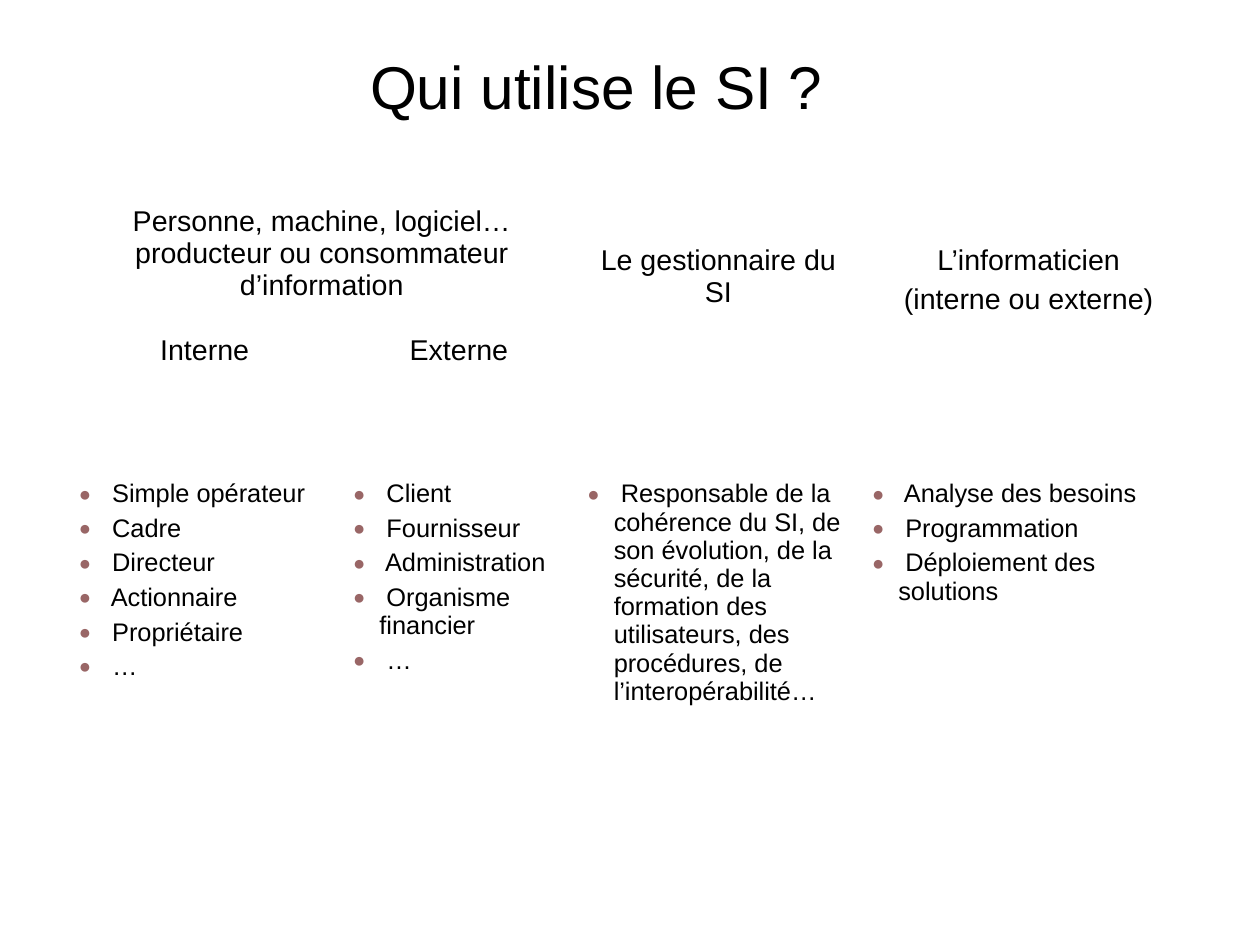
import pptx
import pptx.util
import pptx.dml.color
import pptx.enum.text
import pptx.oxml
import pptx.oxml.ns

Inches = pptx.util.Inches
Pt = pptx.util.Pt
ALIGN = pptx.enum.text.PP_ALIGN
ANCHOR = pptx.enum.text.MSO_ANCHOR
COLORS = {"text": "000000", "bullet": "996666"}
BULLET_INDENT = Inches(0.23)
CM_PER_INCH = 2.54


def write_text(frame, lines, size=18, align=ALIGN.CENTER, before=4.5, bullet=False):
    frame.word_wrap = True
    for index, line in enumerate(lines):
        paragraph = frame.paragraphs[0] if index == 0 else frame.add_paragraph()
        paragraph.alignment = align
        paragraph.space_before = Pt(before)
        run = paragraph.add_run()
        run.text = line
        run.font.size = Pt(size)
        run.font.name = "Arial"
        run.font.color.rgb = pptx.dml.color.RGBColor.from_string(COLORS["text"])
        if bullet:
            properties = paragraph._p.get_or_add_pPr()
            properties.set("marL", str(BULLET_INDENT))
            properties.set("indent", str(-BULLET_INDENT))
            namespace = pptx.oxml.ns.nsdecls("a")
            for element in (
                f'<a:buClr {namespace}><a:srgbClr val="{COLORS["bullet"]}"/></a:buClr>',
                f'<a:buSzPct {namespace} val="80000"/>',
                f'<a:buFont {namespace} typeface="Arial"/>',
                f'<a:buChar {namespace} char="●"/>',
            ):
                properties.append(pptx.oxml.parse_xml(element))


presentation = pptx.Presentation()
presentation.slide_width = Inches(28 / CM_PER_INCH)
presentation.slide_height = Inches(21 / CM_PER_INCH)
slide = presentation.slides.add_slide(presentation.slide_layouts[6])

title = slide.shapes.add_textbox(Inches(0.21), Inches(0.25), Inches(10.02), Inches(1))
title.text_frame.vertical_anchor = ANCHOR.MIDDLE
write_text(title.text_frame, ["Qui utilise le SI ?"], size=38, before=0)

table = slide.shapes.add_table(
    3, 4, Inches(0.59), Inches(1.75), Inches(9.88), Inches(4.94)
).table
table.first_row = False
table.horz_banding = False
for column, width in zip(table.columns, (2.4, 2.05, 2.49, 2.94)):
    column.width = Inches(width)
for row, height in zip(table.rows, (1.13, 1.27, 2.54)):
    row.height = Inches(height)
for cell in table.iter_cells():
    cell.fill.background()

table.cell(0, 0).merge(table.cell(0, 1))
for column_index in (2, 3):
    role_cell = table.cell(0, column_index)
    role_cell.merge(table.cell(1, column_index))
    role_cell.margin_top = Inches(0.39)

headings = {
    (0, 0): ["Personne, machine, logiciel… producteur ou consommateur d’information"],
    (0, 2): ["Le gestionnaire du SI"],
    (0, 3): ["L’informaticien", "(interne ou externe)"],
    (1, 0): ["Interne"],
    (1, 1): ["Externe"],
}
for (row_index, column_index), lines in headings.items():
    write_text(table.cell(row_index, column_index).text_frame, lines)

user_lists = [
    [" Simple opérateur", " Cadre", " Directeur", " Actionnaire", " Propriétaire", " …"],
    [" Client", " Fournisseur", " Administration", " Organisme financier", " …"],
    [
        " Responsable de la cohérence du SI, de son évolution, de la sécurité, "
        "de la formation des utilisateurs, des procédures, de l’interopérabilité…"
    ],
    [" Analyse des besoins", " Programmation", " Déploiement des solutions"],
]
for column_index, lines in enumerate(user_lists):
    write_text(table.cell(2, column_index).text_frame, lines,
               size=16, align=ALIGN.LEFT, before=4, bullet=True)

presentation.save("out.pptx")
